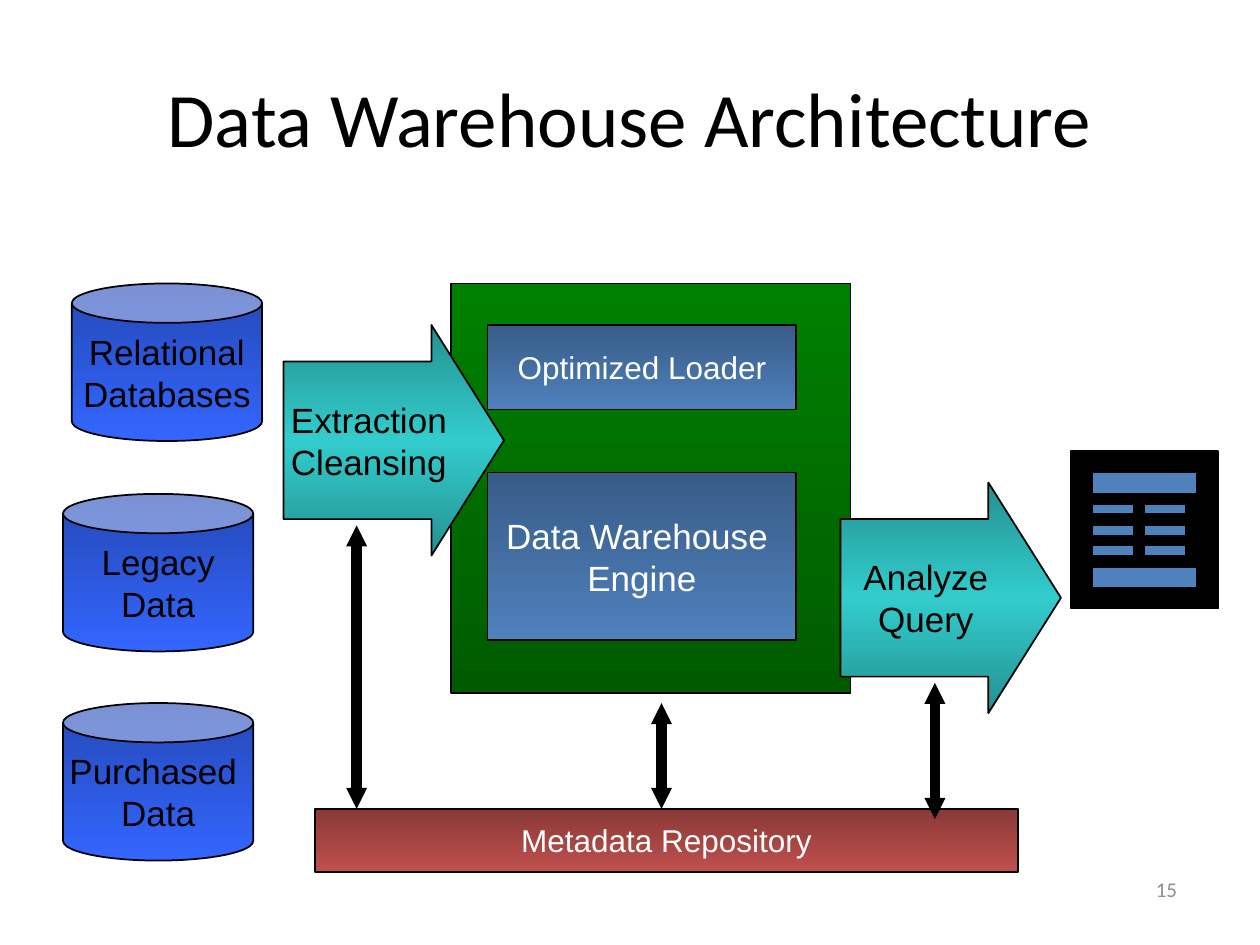
from typing import NamedTuple

from lxml import etree
from pptx import Presentation
from pptx.dml.color import RGBColor
from pptx.enum.shapes import MSO_CONNECTOR, MSO_SHAPE
from pptx.enum.text import MSO_ANCHOR, PP_ALIGN
from pptx.oxml.ns import qn
from pptx.util import Inches, Pt

CAN, RECTANGLE, ARROW = MSO_SHAPE.CAN, MSO_SHAPE.RECTANGLE, MSO_SHAPE.RIGHT_ARROW
CENTER, RIGHT, MIDDLE = PP_ALIGN.CENTER, PP_ALIGN.RIGHT, MSO_ANCHOR.MIDDLE
STRAIGHT = MSO_CONNECTOR.STRAIGHT

BLACK, WHITE, GRAY = "000000", "FFFFFF", "8C8C8C"
BLUE, GREEN, TEAL, STEEL, RED = "3366FF", "008000", "33CCCC", "4F81BD", "C0504D"
DARK_SHADE = 46275


class Stop(NamedTuple):
    position: int
    dark: bool


DARK_TO_LIGHT = (Stop(0, True), Stop(100, False))
LIGHT_TO_DARK = (Stop(0, False), Stop(100, True))
LIGHT_MIDDLE = (Stop(0, True), Stop(50, False), Stop(100, True))


class Block(NamedTuple):
    left: float
    top: float
    width: float
    height: float
    color: str
    stops: tuple = ()
    lines: tuple = ()
    size: int = 20
    text_color: str = BLACK
    preset: int = RECTANGLE
    adjustments: tuple = ()


class Link(NamedTuple):
    x: float
    top: float
    bottom: float


def rgb(color: str) -> RGBColor:
    return RGBColor.from_string(color)


def add_text(frame, lines: tuple, font: str, size: int, color: str, alignment) -> None:
    frame.vertical_anchor = MIDDLE
    paragraph = frame.paragraphs[0]
    paragraph.alignment = alignment
    for index, line in enumerate(lines):
        if index:
            paragraph.add_line_break()
        run = paragraph.add_run()
        run.text = line
        run.font.name = font
        run.font.size = Pt(size)
        run.font.color.rgb = rgb(color)


def set_gradient(shape, color: str, stops: tuple) -> None:
    """Fill from top to bottom with one colour, shaded at the dark stops."""
    shape.fill.gradient()
    shape.fill.gradient_angle = 270
    stop_list = shape._element.spPr.find(qn("a:gradFill")).find(qn("a:gsLst"))
    for old_stop in list(stop_list):
        stop_list.remove(old_stop)
    for stop in stops:
        entry = etree.SubElement(stop_list, qn("a:gs"), pos=str(stop.position * 1000))
        tint = etree.SubElement(entry, qn("a:srgbClr"), val=color)
        if stop.dark:
            etree.SubElement(tint, qn("a:shade"), val=str(DARK_SHADE))


def add_block(group, block: Block) -> None:
    shape = group.shapes.add_shape(
        block.preset, Inches(block.left), Inches(block.top),
        Inches(block.width), Inches(block.height))
    shape.shadow.inherit = False
    for index, value in enumerate(block.adjustments):
        shape.adjustments[index] = value
    if block.stops:
        set_gradient(shape, block.color, block.stops)
    else:
        shape.fill.solid()
        shape.fill.fore_color.rgb = rgb(block.color)
    shape.line.color.rgb = rgb(BLACK)
    shape.line.width = Pt(1)
    if block.lines:
        shape.text_frame.word_wrap = False
        add_text(shape.text_frame, block.lines, "Arial", block.size,
                 block.text_color, CENTER)


def add_link(group, link: Link) -> None:
    """Draw a thick vertical line with an arrowhead at both ends."""
    connector = group.shapes.add_connector(
        STRAIGHT, Inches(link.x), Inches(link.top), Inches(link.x), Inches(link.bottom))
    connector.line.color.rgb = rgb(BLACK)
    connector.line.width = Pt(6)
    line = connector.line._get_or_add_ln()
    for end in ("a:headEnd", "a:tailEnd"):
        etree.SubElement(line, qn(end), type="triangle", w="sm", len="sm")
    etree.SubElement(connector._element.spPr, qn("a:effectLst"))


def source(left: float, top: float, *lines: str) -> Block:
    return Block(left, top, 1.51, 1.25, BLUE, DARK_TO_LIGHT, lines,
                 preset=CAN, adjustments=(0.25,))


def process(left: float, top: float, *lines: str) -> Block:
    return Block(left, top, 1.75, 1.83, TEAL, LIGHT_MIDDLE, lines,
                 preset=ARROW, adjustments=(0.684, 0.329))


SOURCES = [
    source(0.57, 2.25, "Relational", "Databases"),
    source(0.5, 3.92, "Legacy", "Data"),
    source(0.5, 5.58, "Purchased ", "Data"),
]
WAREHOUSE = [
    Block(3.58, 2.25, 3.17, 3.25, GREEN, LIGHT_TO_DARK),
    Block(3.87, 3.75, 2.45, 1.33, STEEL, DARK_TO_LIGHT,
          ("Data Warehouse ", "Engine"), 20, WHITE),
    Block(3.87, 2.58, 2.45, 0.67, STEEL, DARK_TO_LIGHT,
          ("Optimized Loader",), 18, WHITE),
    process(2.25, 2.58, "Extraction", "Cleansing"),
]
REPORT = [
    Block(8.5, 3.58, 1.17, 1.25, BLACK),
    *(Block(8.67, top, 0.83, 0.17, STEEL) for top in (3.75, 4.5)),
    *(Block(left, top, 0.33, 0.08, STEEL)
      for left in (8.67, 9.08) for top in (4, 4.17, 4.33)),
    process(6.67, 3.83, "Analyze", "Query"),
]
METADATA = [
    Block(2.5, 6.42, 5.58, 0.5, RED, DARK_TO_LIGHT,
          ("Metadata Repository",), 18, WHITE),
]
LINKS = [Link(2.83, 4.17, 6.42), Link(5.25, 5.58, 6.42), Link(7.42, 5.42, 6.5)]


def main() -> None:
    presentation = Presentation()
    presentation.slide_width, presentation.slide_height = Inches(10), Inches(7.5)
    slide = presentation.slides.add_slide(presentation.slide_layouts[5])

    number = slide.shapes.add_textbox(Inches(7.36), Inches(6.81), Inches(2.08), Inches(0.5))
    number.text_frame.word_wrap = True
    add_text(number.text_frame, ("15",), "Calibri", 12, GRAY, RIGHT)

    title = slide.shapes.title
    title.left, title.top = Inches(0.5), Inches(0.3)
    title.width, title.height = Inches(9), Inches(1.25)
    add_text(title.text_frame, ("Data Warehouse Architecture",), "Calibri", 44, BLACK, CENTER)

    for blocks in (SOURCES, WAREHOUSE, REPORT, METADATA):
        group = slide.shapes.add_group_shape()
        for block in blocks:
            add_block(group, block)
    for link in LINKS:
        add_link(group, link)

    presentation.save("out.pptx")


if __name__ == "__main__":
    main()
